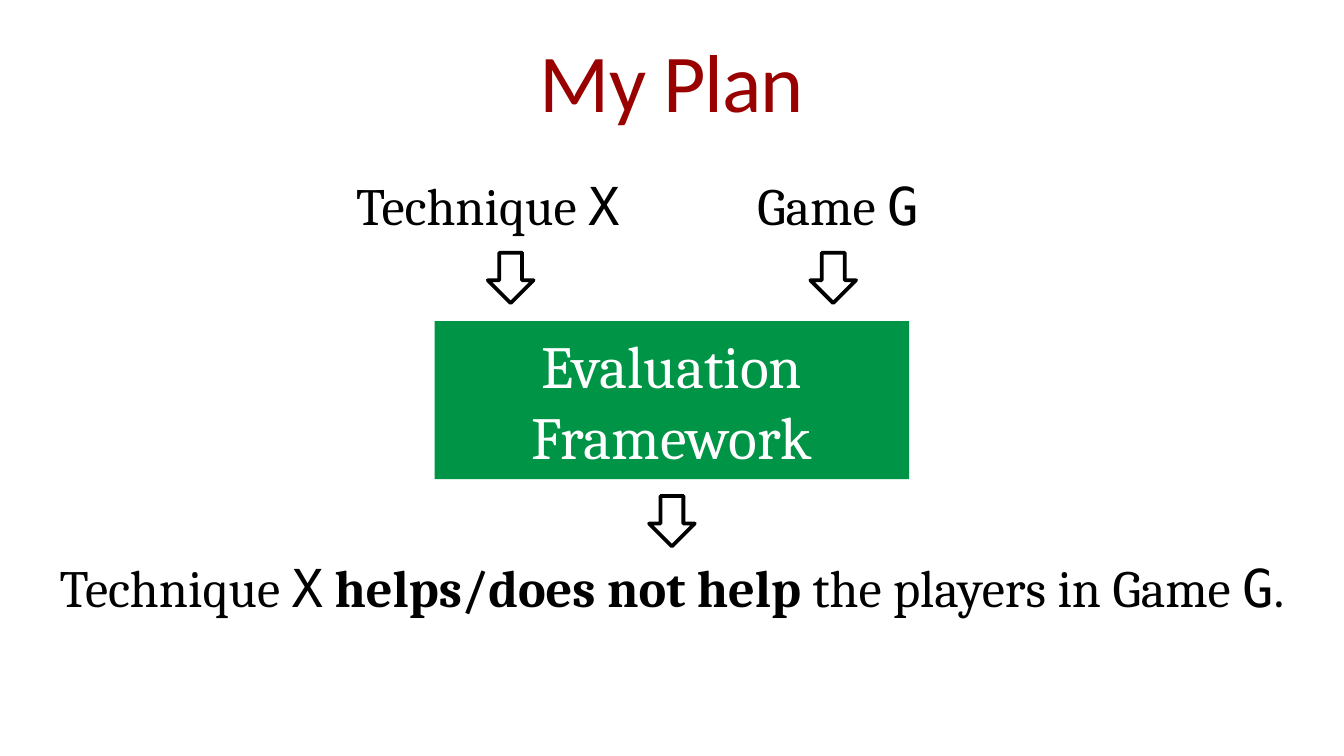
from dataclasses import dataclass

from lxml import etree
from pptx import Presentation
from pptx.dml.color import RGBColor
from pptx.enum.shapes import MSO_SHAPE
from pptx.enum.text import MSO_ANCHOR, MSO_AUTO_SIZE, PP_ALIGN
from pptx.oxml.ns import qn
from pptx.slide import Slide
from pptx.text.text import TextFrame
from pptx.util import Pt

RECTANGLE, DOWN_ARROW = MSO_SHAPE.RECTANGLE, MSO_SHAPE.DOWN_ARROW
MIDDLE, TOP = MSO_ANCHOR.MIDDLE, MSO_ANCHOR.TOP
CENTER = PP_ALIGN.CENTER
FIT_TEXT = MSO_AUTO_SIZE.SHAPE_TO_FIT_TEXT
EMU_PER_PX = 4572  # 200 px to the inch


@dataclass(frozen=True)
class Theme:
    red: RGBColor = RGBColor(0x99, 0x00, 0x00)
    green: RGBColor = RGBColor(0x00, 0x94, 0x46)
    white: RGBColor = RGBColor(0xFF, 0xFF, 0xFF)
    black: RGBColor = RGBColor(0x00, 0x00, 0x00)
    title_font: str = "Calibri"
    body_font: str = "Cambria"
    symbol_font: str = "DejaVu Sans Mono"
    title_size: int = 44
    framework_size: int = 32
    statement_size: int = 28
    arrow_line: int = 2


THEME = Theme()


@dataclass(frozen=True)
class Box:
    left: int
    top: int
    width: int
    height: int

    def emu(self) -> tuple[int, ...]:
        return tuple(px * EMU_PER_PX
                     for px in (self.left, self.top, self.width, self.height))


@dataclass(frozen=True)
class Piece:
    text: str
    font: str = THEME.body_font
    bold: bool = False


@dataclass(frozen=True)
class Statement:
    box: Box
    pieces: tuple[Piece, ...]
    anchor: MSO_ANCHOR = MIDDLE


def symbol(text: str) -> Piece:
    return Piece(text, THEME.symbol_font)


def write(frame: TextFrame, pieces: tuple[Piece, ...], size: int,
          color: RGBColor, anchor: MSO_ANCHOR = MIDDLE) -> None:
    frame.vertical_anchor = anchor
    line = frame.paragraphs[0]
    line.alignment = CENTER
    for piece in pieces:
        run = line.add_run()
        run.text = piece.text
        run.font.name = piece.font
        run.font.size = Pt(size)
        run.font.bold = piece.bold
        run.font.color.rgb = color


def draw_title(slide: Slide, box: Box, text: str) -> None:
    frame = slide.shapes.add_textbox(*box.emu()).text_frame
    frame.word_wrap = True
    frame.margin_left = frame.margin_right = 0
    write(frame, (Piece(text, THEME.title_font),), THEME.title_size, THEME.red)
    # Tighten the letters by half a point
    frame.paragraphs[0].runs[0].font._element.set("spc", "-50")


def draw_framework(slide: Slide, box: Box, text: str) -> None:
    framework = slide.shapes.add_shape(RECTANGLE, *box.emu())
    framework.shadow.inherit = False
    framework.fill.solid()
    framework.fill.fore_color.rgb = THEME.green
    framework.line.fill.background()
    write(framework.text_frame, (Piece(text),), THEME.framework_size, THEME.white)


def draw_statement(slide: Slide, statement: Statement) -> None:
    frame = slide.shapes.add_textbox(*statement.box.emu()).text_frame
    frame.word_wrap = False
    frame.auto_size = FIT_TEXT
    write(frame, statement.pieces, THEME.statement_size, THEME.black,
          statement.anchor)


def draw_arrow(slide: Slide, box: Box) -> None:
    arrow = slide.shapes.add_shape(DOWN_ARROW, *box.emu())
    arrow.shadow.inherit = False
    arrow.fill.solid()
    arrow.fill.fore_color.rgb = THEME.white
    arrow.line.color.rgb = THEME.black
    arrow.line.width = Pt(THEME.arrow_line)
    # Round the corners of the outline
    etree.SubElement(arrow.line._get_or_add_ln(), qn("a:round"))


SLIDE_WIDTH, SLIDE_HEIGHT = 2000, 1125
CENTER_X = SLIDE_WIDTH // 2
ARROW_WIDTH, ARROW_HEIGHT = 68, 75
INPUT_OFFSET = 240  # input arrows stand this far either side of the centre
INPUT_TOP, OUTPUT_TOP = 376, 738

STATEMENTS = (
    Statement(Box(1100, 248, 294, 114), (Piece("Game "), symbol("G"))),
    Statement(Box(497, 248, 458, 114), (Piece("Technique "), symbol("X"))),
    Statement(
        Box(22, 817, 1956, 114),
        (Piece("Technique "), symbol("X"),
         Piece(" helps/does not help", bold=True),
         Piece(" the players in Game "), symbol("G"), Piece(".")),
        TOP,
    ),
)
ARROWS = (
    (CENTER_X - INPUT_OFFSET, INPUT_TOP),
    (CENTER_X + INPUT_OFFSET, INPUT_TOP),
    (CENTER_X, OUTPUT_TOP),
)


def main() -> None:
    deck = Presentation()
    deck.slide_width = SLIDE_WIDTH * EMU_PER_PX
    deck.slide_height = SLIDE_HEIGHT * EMU_PER_PX
    slide = deck.slides.add_slide(deck.slide_layouts[6])

    # Title and the framework in the middle
    draw_title(slide, Box(100, 24, 1800, 188), "My Plan")
    draw_framework(slide, Box(647, 478, 706, 235), "Evaluation Framework")

    # Inputs above, conclusion below
    for statement in STATEMENTS:
        draw_statement(slide, statement)

    # Flow into and out of the framework
    for middle, top in ARROWS:
        draw_arrow(slide, Box(middle - ARROW_WIDTH // 2, top,
                              ARROW_WIDTH, ARROW_HEIGHT))

    deck.save("out.pptx")


if __name__ == "__main__":
    main()
